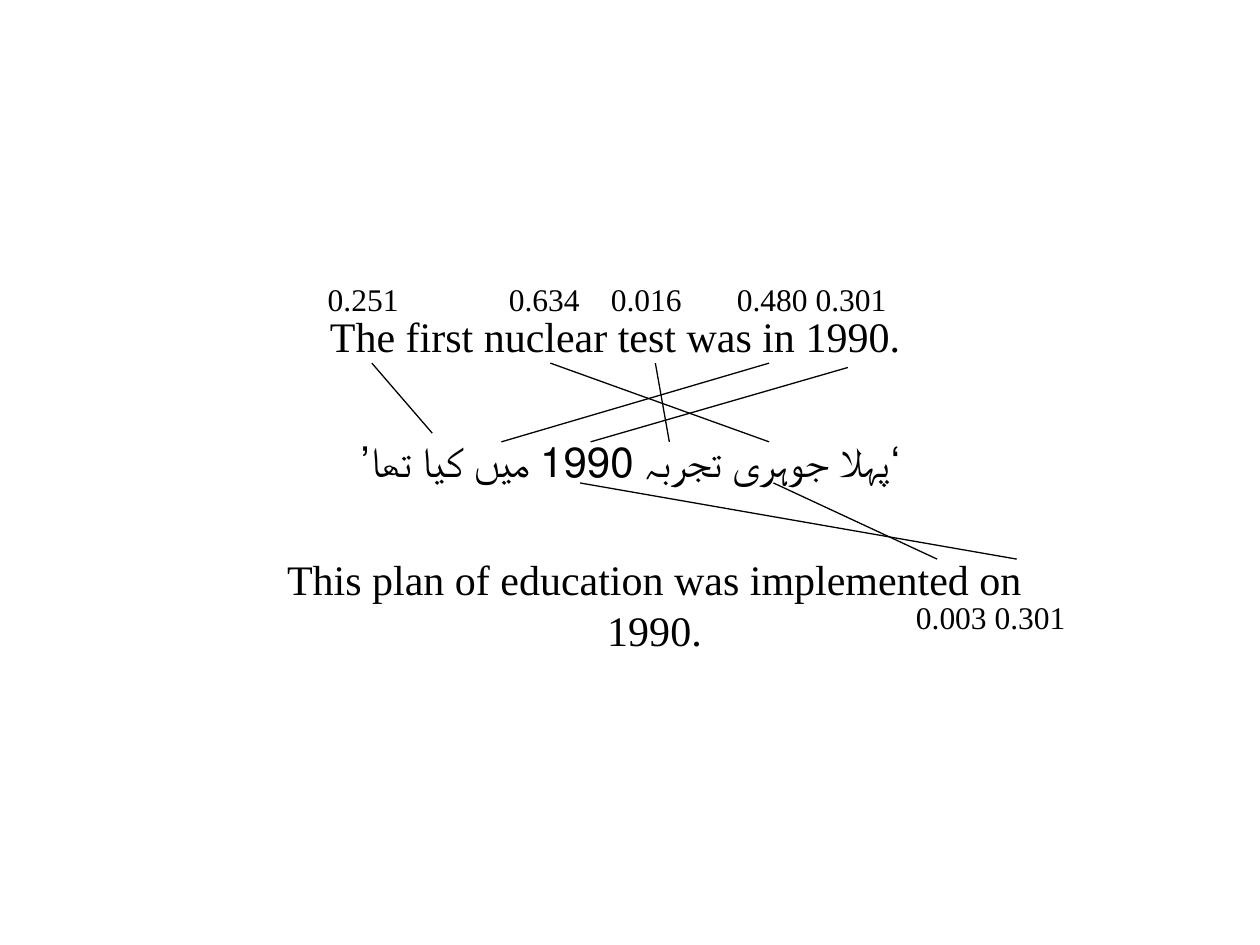
"""Word alignment between two English sentences and one Urdu sentence."""
from lxml.etree import SubElement
from pptx import Presentation
from pptx.dml.color import RGBColor
from pptx.enum.shapes import MSO_CONNECTOR
from pptx.enum.text import MSO_ANCHOR, PP_ALIGN
from pptx.oxml.ns import qn
from pptx.util import Pt

BLACK = RGBColor(0, 0, 0)
SERIF = "Times New Roman"

SENTENCES = [
    ("’پہلا جوہری تجربہ 1990 میں کیا تھا‘", (54, 242, 612, 42), "Calibri", MSO_ANCHOR.MIDDLE),
    ("The first nuclear test was in 1990.", (179.5, 174, 344, 36), SERIF, MSO_ANCHOR.TOP),
    ("This plan of education was implemented on 1990.", (129, 313, 490, 36), SERIF, MSO_ANCHOR.TOP),
]
SCORES = [
    ((156, 156.5, 385, 29), [(24.2, "0.251"), (127.7, "0.634"), (186, "0.016"), (258, "0.480 0.301")]),
    ((116, 338, 505, 29), [(400.3, "0.003 0.301")]),
]
TOP, URDU_TOP, URDU_BOTTOM, BOTTOM = 207.5, 252.5, 276, 319.5
LINKS = [
    ((484.5, 210), (337.5, URDU_TOP)),
    ((286.5, URDU_TOP), (439.5, TOP)),
    ((212.5, TOP), (247, 247.5)),
    ((314.5, TOP), (439.5, URDU_TOP)),
    ((374.5, TOP), (382.5, URDU_TOP)),
    ((442, URDU_BOTTOM), (535.5, BOTTOM)),
    ((331.5, URDU_BOTTOM), (581, BOTTOM)),
]


def add_text(page, text, place, font, size, align, anchor=MSO_ANCHOR.TOP):
    box = page.shapes.add_textbox(*map(Pt, place))
    frame = box.text_frame
    frame.word_wrap = True
    frame.vertical_anchor = anchor
    para = frame.paragraphs[0]
    para.alignment = align
    span = para.add_run()
    span.text = text
    for name, value in {"name": font, "size": Pt(size)}.items():
        setattr(span.font, name, value)
    span.font.color.rgb = BLACK
    return para


def add_tabs(para, stops):
    tabs = SubElement(para._p.get_or_add_pPr(), qn("a:tabLst"))
    for stop in stops:
        SubElement(tabs, qn("a:tab"), pos=str(int(Pt(stop))), algn="l")


def add_link(page, start, end):
    link = page.shapes.add_connector(MSO_CONNECTOR.STRAIGHT, *map(Pt, start + end))
    link.line.color.rgb = BLACK
    link.line.width = Pt(0.75)
    SubElement(link._element.spPr, qn("a:effectLst"))


deck = Presentation()
deck.slide_width, deck.slide_height = Pt(720), Pt(540)
page = deck.slides.add_slide(deck.slide_layouts[6])

for text, place, font, anchor in SENTENCES:
    add_text(page, text, place, font, 24, PP_ALIGN.CENTER, anchor)
for start, end in LINKS:
    add_link(page, start, end)
for place, scores in SCORES:
    line = "".join("\t" + score for stop, score in scores)
    para = add_text(page, line, place, SERIF, 18, PP_ALIGN.LEFT)
    add_tabs(para, [stop for stop, score in scores])

deck.save("out.pptx")
